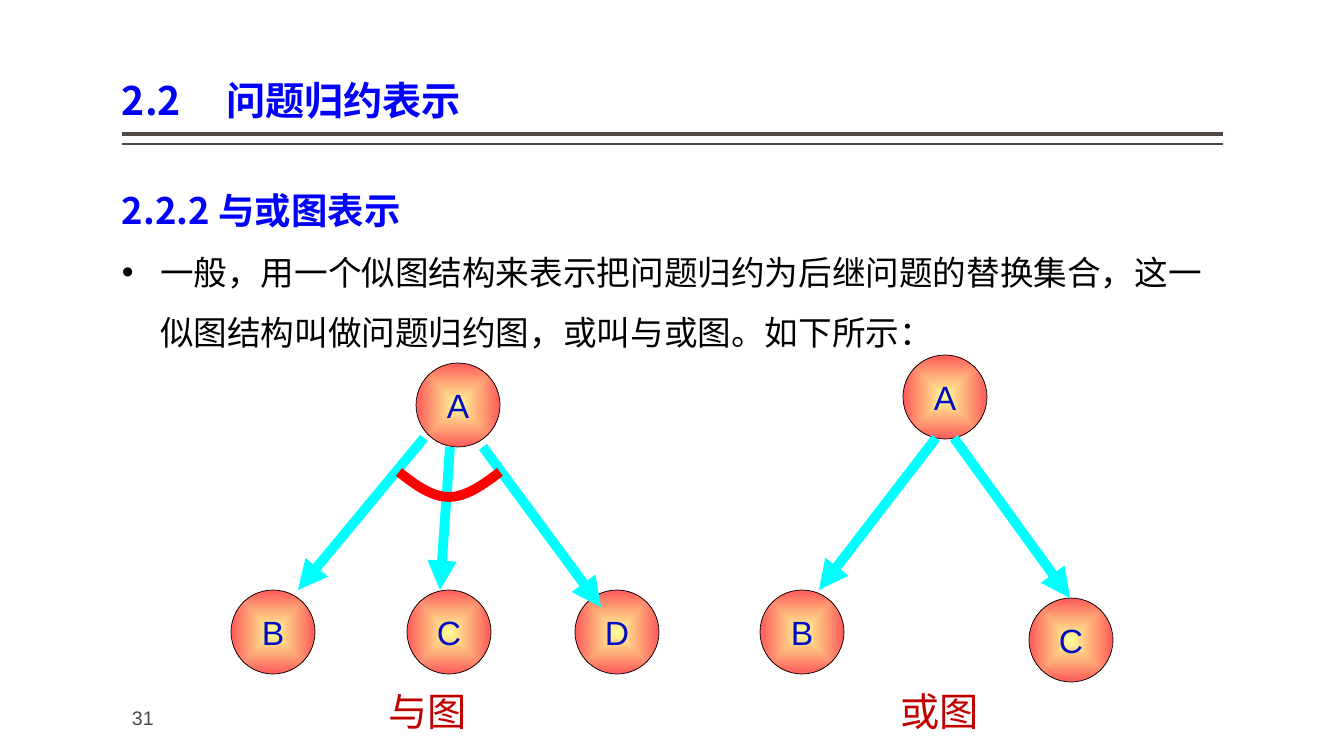
import lxml.etree
import pptx
import pptx.dml.color
import pptx.enum.shapes
import pptx.enum.text
import pptx.oxml.ns
import pptx.util

RGBColor = pptx.dml.color.RGBColor
BLUE = RGBColor(0x00, 0x00, 0xFF)
NAVY = RGBColor(0x00, 0x0E, 0xC2)
CYAN = RGBColor(0x00, 0xFF, 0xFF)
RED = RGBColor(0xFF, 0x00, 0x00)
DARK_RED = RGBColor(0xC0, 0x00, 0x00)
CORAL = RGBColor(0xFE, 0x5A, 0x5A)
CREAM = RGBColor(0xFF, 0xFF, 0x99)
GRAY = RGBColor(0x51, 0x48, 0x43)
BLACK = RGBColor(0x00, 0x00, 0x00)
LATIN, CHINESE = "Arial", "Noto Sans CJK SC"
LEFT, WIDTH = 122, 1101
NODE = 84

ANCHOR = pptx.enum.text.MSO_ANCHOR
ALIGN = pptx.enum.text.PP_ALIGN
qn = pptx.oxml.ns.qn


def px(length):
    return round(length * 914400 / 100.8)


def add_xml(parent, tag, **attributes):
    return lxml.etree.SubElement(parent, qn(tag), **attributes)


def write(paragraph, text, size, color, font=LATIN, bold=False,
          align=ALIGN.LEFT, spacing=1.0, bullet_indent=0, tab=0):
    paragraph.alignment = align
    paragraph.line_spacing = spacing
    properties = paragraph._p.get_or_add_pPr()
    if bullet_indent:
        properties.set("marL", str(px(bullet_indent)))
        properties.set("indent", str(-px(bullet_indent)))
        add_xml(properties, "a:buFont", typeface=LATIN)
        add_xml(properties, "a:buChar", char="•")
    if tab:
        stops = add_xml(properties, "a:tabLst")
        add_xml(stops, "a:tab", pos=str(px(tab)), algn="l")
    run = paragraph.add_run()
    run.text = text
    run.font.size = pptx.util.Pt(size)
    run.font.bold = bold
    run.font.color.rgb = color
    run.font.name = font
    add_xml(run._r.get_or_add_rPr(), "a:ea", typeface=CHINESE)


class Slide:
    def __init__(self, presentation):
        self.shapes = presentation.slides.add_slide(presentation.slide_layouts[6]).shapes

    def text_box(self, left, top, width, height, anchor=ANCHOR.TOP, side=0, wrap=True):
        frame = self.shapes.add_textbox(px(left), px(top), px(width), px(height)).text_frame
        frame.word_wrap = wrap
        frame.vertical_anchor = anchor
        frame.margin_left = frame.margin_right = px(side)
        frame.margin_top = frame.margin_bottom = px(5)
        return frame

    def line(self, start, end, color, weight, arrow=False):
        line = self.shapes.add_connector(
            pptx.enum.shapes.MSO_CONNECTOR.STRAIGHT, *map(px, start + end))
        line.line.color.rgb = color
        line.line.width = pptx.util.Pt(weight)
        if arrow:
            add_xml(line.line._get_or_add_ln(), "a:tailEnd", type="triangle")
        add_xml(line._element.spPr, "a:effectLst")

    def node(self, letter, center_x, center_y):
        circle = self.shapes.add_shape(
            pptx.enum.shapes.MSO_SHAPE.OVAL, px(center_x - NODE / 2),
            px(center_y - NODE / 2), px(NODE), px(NODE))
        circle.shadow.inherit = False
        circle.line.color.rgb = BLACK
        circle.line.width = pptx.util.Pt(0.5)
        self.radial_fill(circle)
        frame = circle.text_frame
        frame.word_wrap = False
        frame.vertical_anchor = ANCHOR.MIDDLE
        write(frame.paragraphs[0], letter, 24, NAVY, align=ALIGN.CENTER)

    def radial_fill(self, shape):
        """Fill from cream in the middle to coral at the edge."""
        shape.fill.gradient()
        for stop, color, position in zip(shape.fill.gradient_stops, (CREAM, CORAL), (0, 1)):
            stop.color.rgb = color
            stop.position = position
        gradient = shape._element.spPr.find(qn("a:gradFill"))
        gradient.remove(gradient.find(qn("a:lin")))
        outline = add_xml(gradient, "a:path", path="shape")
        add_xml(outline, "a:fillToRect", l="50000", t="50000", r="50000", b="50000")

    def curve(self, start, controls, color, weight):
        """Draw joined cubic curves; each takes three points of controls."""
        builder = self.shapes.build_freeform(*start, scale=px(1))
        builder.add_line_segments(controls, close=False)
        curve = builder.convert_to_shape()
        curve.shadow.inherit = False
        curve.fill.background()
        curve.line.color.rgb = color
        curve.line.width = pptx.util.Pt(weight)
        segments = list(curve._element.iter(qn("a:lnTo")))
        outline = segments[0].getparent()
        for first in range(0, len(segments), 3):
            cubic = add_xml(outline, "a:cubicBezTo")
            for segment in segments[first:first + 3]:
                cubic.append(segment[0])
                outline.remove(segment)

    def tree(self, nodes, arrows, caption, caption_center):
        for node in nodes:
            self.node(*node)
        for start, end in arrows:
            self.line(start, end, CYAN, 7, arrow=True)
        frame = self.text_box(caption_center - 130, 682, 260, 58, ANCHOR.MIDDLE, wrap=False)
        write(frame.paragraphs[0], caption, 28, DARK_RED, align=ALIGN.CENTER)


def main():
    presentation = pptx.Presentation()
    presentation.slide_width, presentation.slide_height = px(1344), px(756)
    slide = Slide(presentation)

    for y, weight in ((134, 3), (144, 1)):
        slide.line((LEFT, y), (LEFT + WIDTH, y), GRAY, weight)
    page_number = slide.text_box(LEFT, 701, 202, 40, side=10)
    write(page_number.paragraphs[0], "31", 14, GRAY)
    title = slide.text_box(LEFT, 8, WIDTH, 121, ANCHOR.BOTTOM)
    write(title.paragraphs[0], "2.2\t问题归约表示", 28, BLUE, font=CHINESE,
          bold=True, spacing=0.9, tab=104)
    body = slide.text_box(LEFT, 161, WIDTH, 214)
    write(body.paragraphs[0], "2.2.2 与或图表示", 26, BLUE, font=CHINESE,
          bold=True, spacing=1.5)
    write(body.add_paragraph(),
          "一般，用一个似图结构来表示把问题归约为后继问题的替换集合，"
          "这一似图结构叫做问题归约图，或叫与或图。如下所示：",
          24, BLACK, font=CHINESE, spacing=1.5, bullet_indent=38)

    slide.tree(
        nodes=(("A", 458, 405), ("B", 273, 632), ("C", 449, 632), ("D", 617, 632)),
        arrows=(((483, 447), (601, 607)), ((450, 447), (440, 590)),
                ((424, 438), (298, 590))),
        caption="与图", caption_center=428)
    slide.tree(
        nodes=(("A", 945, 397), ("B", 802, 632), ("C", 1071, 640)),
        arrows=(((954, 438), (1070, 598)), ((936, 438), (819, 590))),
        caption="或图", caption_center=940)
    slide.curve((399, 472), ((415, 485), (432, 497), (449, 497),
                             (466, 497), (483, 485), (500, 472)), RED, 7)
    presentation.save("out.pptx")


if __name__ == "__main__":
    main()
